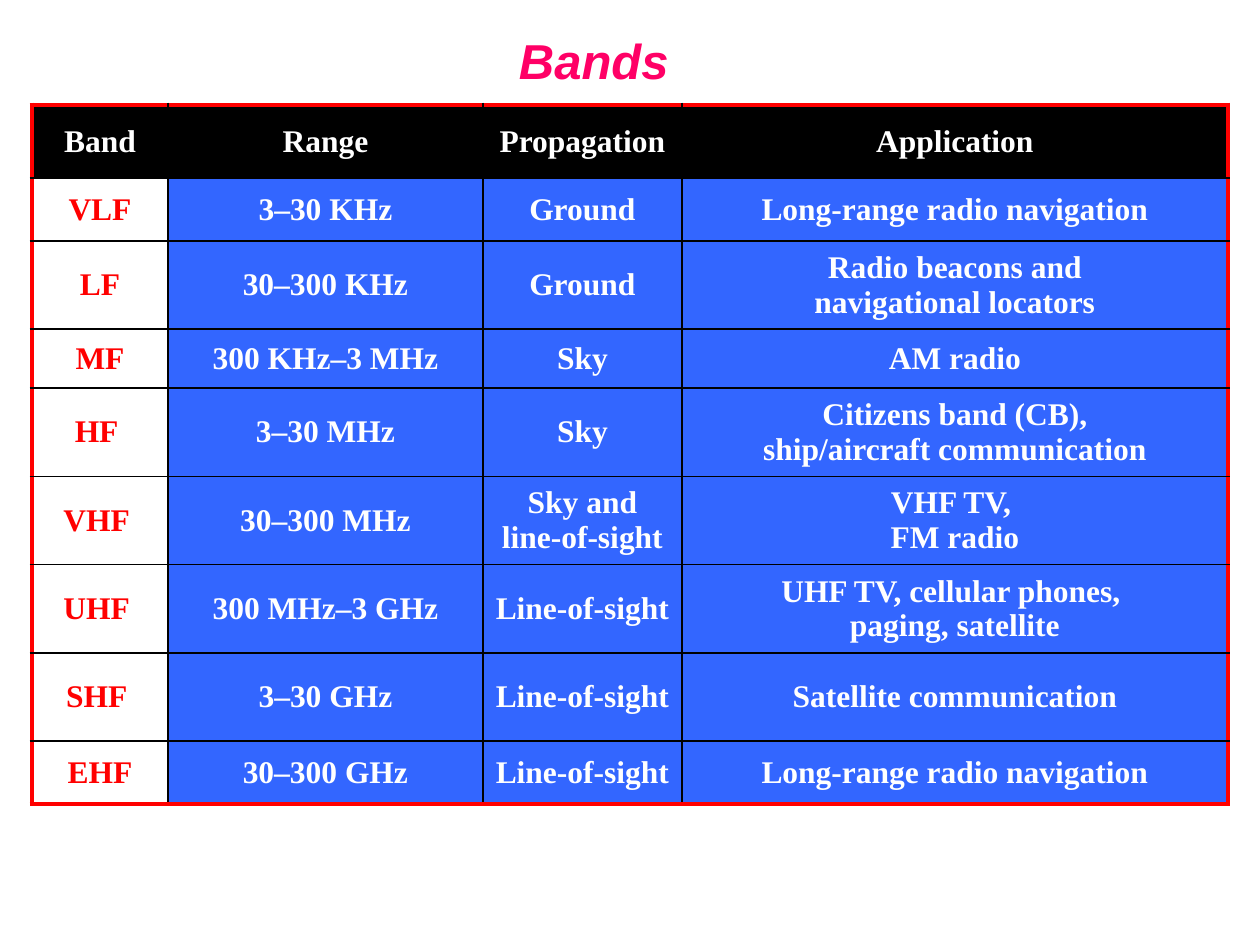
from dataclasses import dataclass

from lxml import etree
from pptx import Presentation
from pptx.dml.color import RGBColor
from pptx.enum.text import MSO_ANCHOR, PP_ALIGN
from pptx.oxml.ns import qn
from pptx.util import Pt

CENTER = PP_ALIGN.CENTER
MIDDLE = MSO_ANCHOR.MIDDLE
SCALE = 914400 // 126


@dataclass(frozen=True)
class Theme:
    """Colours, fonts and type sizes."""
    pink: str = "FF0066"
    red: str = "FF0000"
    blue: str = "3366FF"
    black: str = "000000"
    white: str = "FFFFFF"
    head: str = "Arial"
    body: str = "Times New Roman"
    large: int = 28
    small: int = 18
    thick: int = 3
    thin: int = 1


THEME = Theme()
COLS = [136, 315, 199, 546]
ROWS = [73, 63, 88, 59, 88, 88, 88, 88, 63]
BANDS = [
    ("Band", "Range", "Propagation", "Application"),
    ("VLF", "3–30 KHz", "Ground", "Long-range radio navigation"),
    ("LF", "30–300 KHz", "Ground", "Radio beacons and\nnavigational locators"),
    ("MF", "300 KHz–3 MHz", "Sky", "AM radio"),
    ("HF ", "3–30 MHz", "Sky", "Citizens band (CB),\nship/aircraft communication"),
    ("VHF ", "30–300 MHz", "Sky and\nline-of-sight", "VHF TV, \nFM radio"),
    ("UHF ", "300 MHz–3 GHz", "Line-of-sight", "UHF TV, cellular phones, \npaging, satellite"),
    ("SHF ", "3–30 GHz", "Line-of-sight", "Satellite communication"),
    ("EHF", "30–300 GHz", "Line-of-sight", "Long-range radio navigation"),
]


def px(count):
    """Turn pixels into EMU."""
    return count * SCALE


def write(frame, text, *, face, size, color, slant=False):
    """Write centred bold text into a text frame."""
    frame.word_wrap = True
    line = frame.paragraphs[0]
    line.text = text.replace("\n", "\v")
    line.alignment = CENTER
    for run in line.runs:
        font = run.font
        font.name, font.size = face, Pt(size)
        font.bold, font.italic = True, slant
        font.color.rgb = RGBColor.from_string(color)


def add_title(slide, text):
    """Add the slide title."""
    box = slide.shapes.add_textbox(px(40), px(24), px(1084), px(72))
    box.text_frame.margin_left = px(36)
    write(box.text_frame, text, face=THEME.head, size=THEME.large,
          color=THEME.pink, slant=True)


def add_edges(cell, outer):
    """Draw thick red outer edges and thin black inner ones."""
    props = cell._tc.get_or_add_tcPr()
    for spot, side in enumerate("LRTB"):
        width = THEME.thick if side in outer else THEME.thin
        color = THEME.red if side in outer else THEME.black
        edge = etree.Element(qn(f"a:ln{side}"), w=str(Pt(width)))
        fill = etree.SubElement(edge, qn("a:solidFill"))
        etree.SubElement(fill, qn("a:srgbClr"), val=color)
        props.insert(spot, edge)


def style(row, col):
    """Give the fill and text colours for a cell."""
    if row == 0:
        return THEME.black, THEME.white
    if col == 0:
        return THEME.white, THEME.red
    return THEME.blue, THEME.white


def fill_cell(cell, text, row, col):
    """Set the text, fill and edges of one cell."""
    fill, color = style(row, col)
    cell.vertical_anchor = MIDDLE
    cell.margin_left = cell.margin_right = px(10)
    cell.fill.solid()
    cell.fill.fore_color.rgb = RGBColor.from_string(fill)
    write(cell.text_frame, text, face=THEME.body, size=THEME.small, color=color)
    rims = {"L": col == 0, "R": col == len(COLS) - 1,
            "T": row == 0, "B": row == len(ROWS) - 1}
    add_edges(cell, [side for side, rim in rims.items() if rim])


def add_grid(slide, data):
    """Add the table of radio bands."""
    table = slide.shapes.add_table(len(ROWS), len(COLS), px(32), px(105),
                                   px(sum(COLS)), px(sum(ROWS))).table
    for col, width in zip(table.columns, COLS):
        col.width = px(width)
    for row, height in zip(table.rows, ROWS):
        row.height = px(height)
    for row, texts in enumerate(data):
        for col, text in enumerate(texts):
            fill_cell(table.cell(row, col), text, row, col)


def main():
    """Build and save the slide."""
    deck = Presentation()
    deck.slide_width, deck.slide_height = px(1260), px(945)
    slide = deck.slides.add_slide(deck.slide_layouts[6])
    add_title(slide, "Bands")
    add_grid(slide, BANDS)
    deck.save("out.pptx")


if __name__ == "__main__":
    main()
